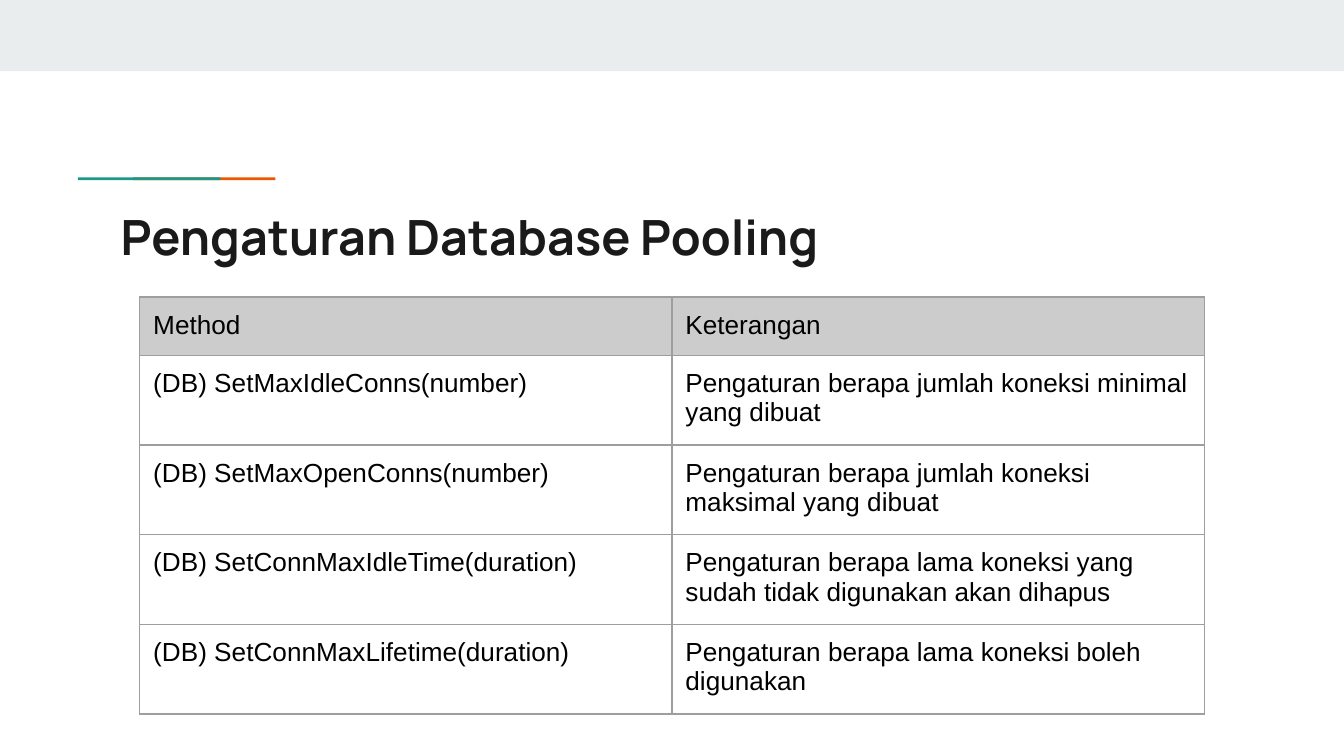
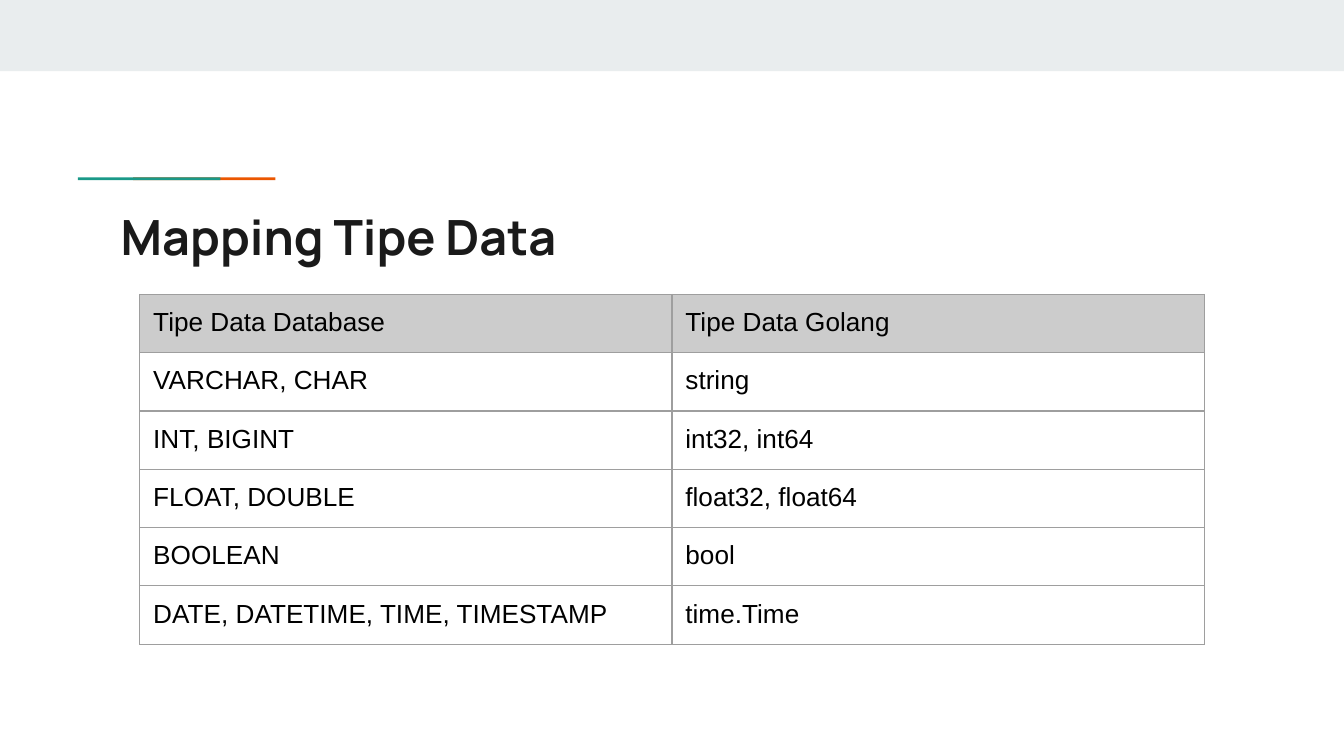
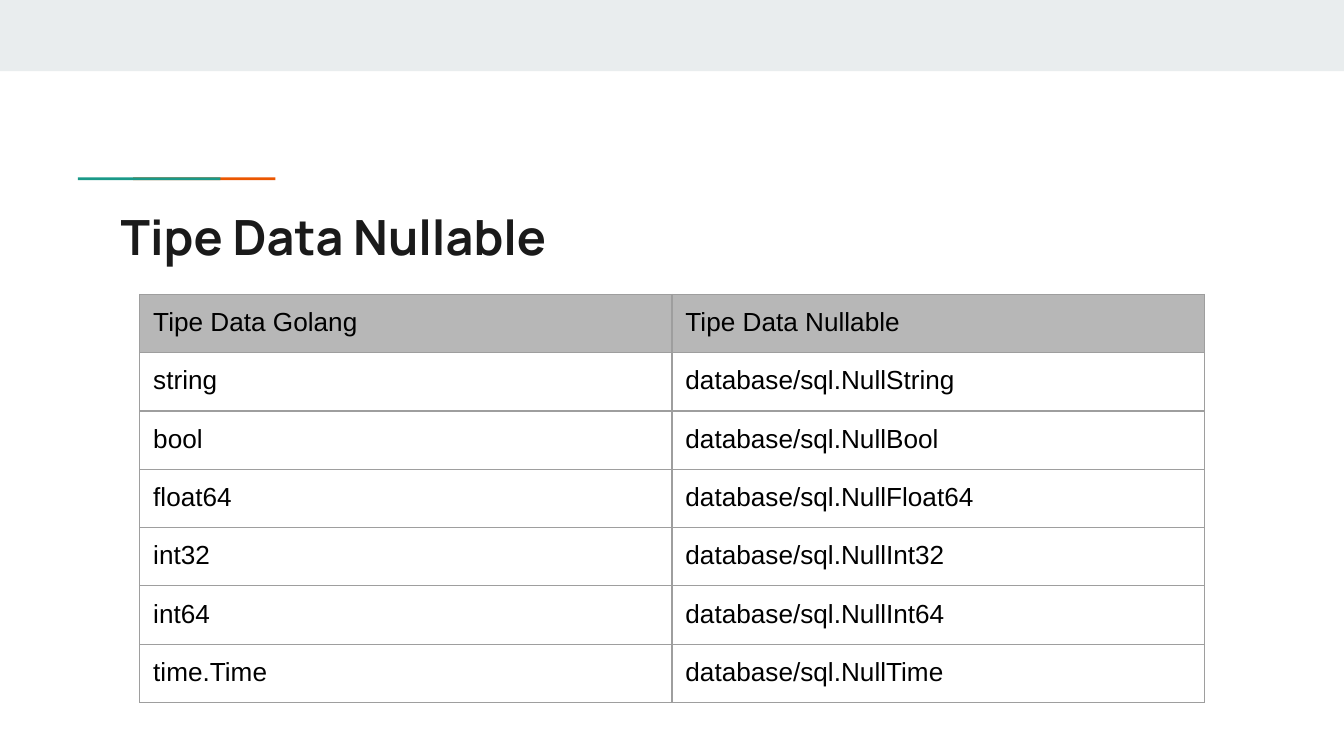
from pptx import Presentation
from pptx.dml.color import RGBColor
from pptx.enum.shapes import MSO_SHAPE
from pptx.oxml import parse_xml
from pptx.oxml.ns import nsdecls
from pptx.util import Inches, Pt

# Content: title, table top, header fill, rows
PAGES = [
    ("Pengaturan Database Pooling", 2.21, "light", [
        ("Method", "Keterangan"),
        ("(DB) SetMaxIdleConns(number)",
         "Pengaturan berapa jumlah koneksi minimal yang dibuat"),
        ("(DB) SetMaxOpenConns(number)",
         "Pengaturan berapa jumlah koneksi maksimal yang dibuat"),
        ("(DB) SetConnMaxIdleTime(duration)",
         "Pengaturan berapa lama koneksi yang sudah tidak digunakan akan dihapus"),
        ("(DB) SetConnMaxLifetime(duration)",
         "Pengaturan berapa lama koneksi boleh digunakan"),
    ]),
    ("Mapping Tipe Data", 2.19, "light", [
        ("Tipe Data Database", "Tipe Data Golang"),
        ("VARCHAR, CHAR", "string"),
        ("INT, BIGINT", "int32, int64"),
        ("FLOAT, DOUBLE", "float32, float64"),
        ("BOOLEAN", "bool"),
        ("DATE, DATETIME, TIME, TIMESTAMP", "time.Time"),
    ]),
    ("Tipe Data Nullable", 2.19, "dark", [
        ("Tipe Data Golang", "Tipe Data Nullable"),
        ("string", "database/sql.NullString"),
        ("bool", "database/sql.NullBool"),
        ("float64", "database/sql.NullFloat64"),
        ("int32", "database/sql.NullInt32"),
        ("int64", "database/sql.NullInt64"),
        ("time.Time", "database/sql.NullTime"),
    ]),
]

THEME = {
    "band": "E9EDEE", "teal": "1A9988", "orange": "EB5600",
    "light": "CCCCCC", "dark": "B7B7B7", "rule": "9E9E9E", "rule_pt": 0.75,
    "title": {"name": "Manrope", "size": Pt(26), "bold": True, "color": "1A1A1A"},
    "body": {"name": "Arial", "size": Pt(14), "bold": False, "color": "000000"},
}
WIDE = Inches(10)
PAGE = {"slide_width": WIDE, "slide_height": WIDE * 9 // 16}
PAD = Inches(0.1)
INSET = {f"margin_{side}": PAD for side in ("left", "right", "top", "bottom")}
LINES = {"line_spacing": 1.0, "space_before": Pt(0), "space_after": Pt(0)}
PLAIN = {"first_row": False, "horz_banding": False}
FRAME = {"width": Inches(3.28), "height": Inches(3.28)}
COL, ROW = 3.96, 0.42


def apply(part, values):
    for key, value in values.items():
        if key == "color":
            part.color.rgb = RGBColor.from_string(value)
        else:
            setattr(part, key, value)


def write(frame, text, style):
    para = frame.paragraphs[0]
    apply(para, LINES)
    run = para.add_run()
    run.text = text
    apply(run.font, style)


def add_bar(slide, color, *box):
    bar = slide.shapes.add_shape(MSO_SHAPE.RECTANGLE, *map(Inches, box))
    bar.shadow.inherit = False
    bar.fill.solid()
    bar.fill.fore_color.rgb = RGBColor.from_string(THEME[color])
    bar.line.fill.background()


def add_frame(slide, title):
    # Top band, two-colour accent and title
    add_bar(slide, "band", 0, 0, 10, 0.53)
    add_bar(slide, "orange", 0.99, 1.32, 1.06, 0.02)
    add_bar(slide, "teal", 0.58, 1.32, 1.06, 0.02)
    box = slide.shapes.add_textbox(*map(Inches, (0.8, 1.44, 8.41, 0.59)))
    apply(box.text_frame, {"word_wrap": True, **INSET})
    write(box.text_frame, title, THEME["title"])


def add_rules(cell):
    props = cell._tc.get_or_add_tcPr()
    for spot, side in enumerate("LRTB"):
        props.insert(spot, parse_xml(
            f'<a:ln{side} {nsdecls("a")} w="{Pt(THEME["rule_pt"])}"><a:solidFill>'
            f'<a:srgbClr val="{THEME["rule"]}"/></a:solidFill></a:ln{side}>'))


def add_grid(slide, top, head, rows):
    count = len(rows[0])
    size = (1.04, top, COL * count, ROW * len(rows))
    holder = slide.shapes.add_table(len(rows), count, *map(Inches, size))
    grid = holder.table
    apply(grid, PLAIN)
    for r, row in enumerate(rows):
        for c, text in enumerate(row):
            cell = grid.cell(r, c)
            apply(cell, INSET)
            write(cell.text_frame, text, THEME["body"])
            if r == 0:
                cell.fill.solid()
                cell.fill.fore_color.rgb = RGBColor.from_string(THEME[head])
            else:
                cell.fill.background()
            add_rules(cell)
    # The rows and columns set the drawn size, not the holder
    apply(holder, FRAME)


def main():
    deck = Presentation()
    apply(deck, PAGE)
    for title, top, head, rows in PAGES:
        slide = deck.slides.add_slide(deck.slide_layouts[6])
        add_frame(slide, title)
        add_grid(slide, top, head, rows)
    deck.save("out.pptx")


if __name__ == "__main__":
    main()
